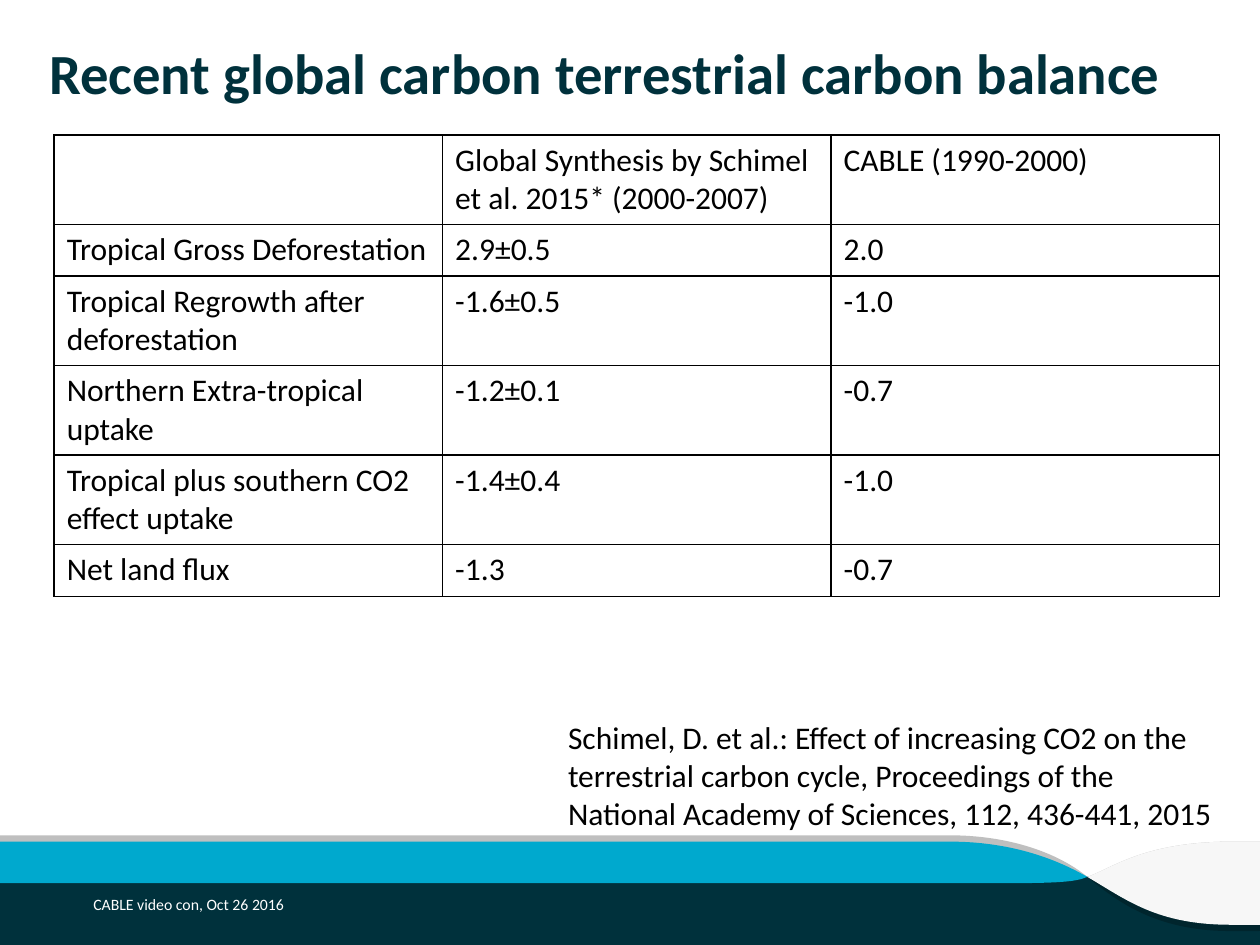
from lxml import etree
from pptx import Presentation
from pptx.dml.color import RGBColor
from pptx.enum.shapes import MSO_SHAPE
from pptx.enum.text import MSO_ANCHOR, PP_ALIGN
from pptx.oxml.ns import qn
from pptx.util import Inches, Pt

RECT = MSO_SHAPE.RECTANGLE
TOP, MIDDLE = MSO_ANCHOR.TOP, MSO_ANCHOR.MIDDLE
LEFT = PP_ALIGN.LEFT
NAVY = RGBColor(0x00, 0x31, 0x3C)
DARK = RGBColor(0x00, 0x25, 0x2D)
CYAN = RGBColor(0x00, 0xA9, 0xCE)
GREY = RGBColor(0xBF, 0xBF, 0xBF)
PALE = RGBColor(0xF7, 0xF7, 0xF7)
WHITE = RGBColor(0xFF, 0xFF, 0xFF)
BLACK = RGBColor(0x00, 0x00, 0x00)
FONT = "Calibri"

# Content
TITLE = "Recent global carbon terrestrial carbon balance"
FOOTER = "CABLE video con, Oct 26 2016"
CITE = ("Schimel, D. et al.: Effect of increasing CO2 on the terrestrial carbon cycle, "
        "Proceedings of the National Academy of Sciences, 112, 436-441, 2015")
ROWS = [
    ("", "Global Synthesis by Schimel et al. 2015* (2000-2007)", "CABLE (1990-2000)"),
    ("Tropical Gross Deforestation", "2.9±0.5", "2.0"),
    ("Tropical Regrowth after deforestation", "-1.6±0.5", "-1.0"),
    ("Northern Extra-tropical uptake", "-1.2±0.1", "-0.7"),
    ("Tropical plus southern CO2 effect uptake", "-1.4±0.4", "-1.0"),
    ("Net land flux", "-1.3", "-0.7"),
]

# Wave outlines: one point is a line end, three points are a Bézier curve
WAVES = [
    (GREY, [[(0, 6.63)], [(7.54, 6.63)],
            [(8.01, 6.63), (8.4, 6.77), (8.63, 6.96)],
            [(8.83, 6.89), (9.08, 6.68), (9.78, 6.68)],
            [(10, 6.68)], [(10, 7.39)], [(10, 6.96)], [(0, 6.96)]]),
    (DARK, [[(0, 6.96)], [(10, 6.96)], [(10, 7.39)], [(9.77, 7.39)],
            [(9.18, 7.39), (8.87, 7.16), (8.63, 6.96)],
            [(8.54, 7), (8.4, 7.01), (7.95, 7.01)], [(0, 7.01)]]),
    (CYAN, [[(0, 6.68)], [(7.54, 6.68)],
            [(8.01, 6.68), (8.37, 6.81), (8.63, 6.96)],
            [(8.54, 7), (8.4, 7.01), (7.95, 7.01)], [(0, 7.01)]]),
    (PALE, [[(10, 6.68)], [(9.78, 6.68)],
            [(9.08, 6.68), (8.83, 6.89), (8.63, 6.96)],
            [(8.94, 7.14), (9.18, 7.34), (9.77, 7.34)], [(10, 7.34)]]),
]


def paint(shape, color):
    shape.shadow.inherit = False
    shape.fill.solid()
    shape.fill.fore_color.rgb = color
    shape.line.fill.background()


def draw_wave(shapes, color, parts):
    points = [(Inches(x), Inches(y)) for part in parts for x, y in part]
    pen = shapes.build_freeform(*points[0])
    pen.add_line_segments(points[1:], close=True)
    shape = pen.convert_to_shape()
    paint(shape, color)
    # Join each three line ends of a curve into one Bézier
    lines = iter(list(shape._element.iter(qn("a:lnTo"))))
    for part in parts[1:]:
        ends = [next(lines) for _ in part]
        if len(ends) == 3:
            curve = etree.Element(qn("a:cubicBezTo"))
            ends[0].addprevious(curve)
            for end in ends:
                curve.append(end[0])
                end.getparent().remove(end)


def write(frame, text, size, color, bold=False):
    frame.text = text
    for run in frame.paragraphs[0].runs:
        font = run.font
        font.name, font.size, font.bold = FONT, Pt(size), bold
        font.color.rgb = color


def place(shape, left, top, width, height):
    shape.left, shape.top = Inches(left), Inches(top)
    shape.width, shape.height = Inches(width), Inches(height)


def trim(frame, anchor):
    frame.margin_left = frame.margin_right = frame.margin_top = frame.margin_bottom = 0
    frame.vertical_anchor = anchor
    frame.word_wrap = True


def border(cell):
    props = cell._tc.get_or_add_tcPr()
    for index, side in enumerate(("lnL", "lnR", "lnT", "lnB")):
        line = etree.Element(qn("a:" + side), w=str(Pt(1)))
        fill = etree.SubElement(line, qn("a:solidFill"))
        etree.SubElement(fill, qn("a:srgbClr"), val=str(BLACK))
        props.insert(index, line)


deck = Presentation()
deck.slide_width, deck.slide_height = Inches(10), Inches(7.5)
slide = deck.slides.add_slide(deck.slide_layouts[5])
shapes = slide.shapes

# Footer band and waves
band = shapes.add_shape(RECT, 0, Inches(6.96), Inches(10), Inches(0.54))
paint(band, NAVY)
for color, parts in WAVES:
    draw_wave(shapes, color, parts)

# Title
title = shapes.title
place(title, 0.39, 0.3, 9.25, 0.93)
trim(title.text_frame, TOP)
write(title.text_frame, TITLE, 32.4, NAVY, True)
title.text_frame.paragraphs[0].alignment = LEFT

# Carbon table: rows grow to fit their text
grid = shapes.add_table(len(ROWS), 3, Inches(0.43), Inches(1.07),
                        Inches(9.25), Inches(3.91))
table = grid.table
table.first_row = table.horz_banding = False
for row, texts in zip(table.rows, ROWS):
    row.height = Inches(0.41)
    for cell, text in zip(row.cells, texts):
        write(cell.text_frame, text, 18, BLACK)
        cell.fill.background()
        border(cell)
grid.height = Inches(3.91)

# Footer text and citation
foot = shapes.add_textbox(0, 0, 0, 0)
place(foot, 0.74, 7.11, 6.65, 0.14)
trim(foot.text_frame, MIDDLE)
write(foot.text_frame, FOOTER, 9, WHITE)

cite = shapes.add_textbox(0, 0, 0, 0)
place(cite, 4.41, 5.65, 5.31, 1.01)
cite.text_frame.word_wrap = True
write(cite.text_frame, CITE, 18, BLACK)

deck.save("out.pptx")
